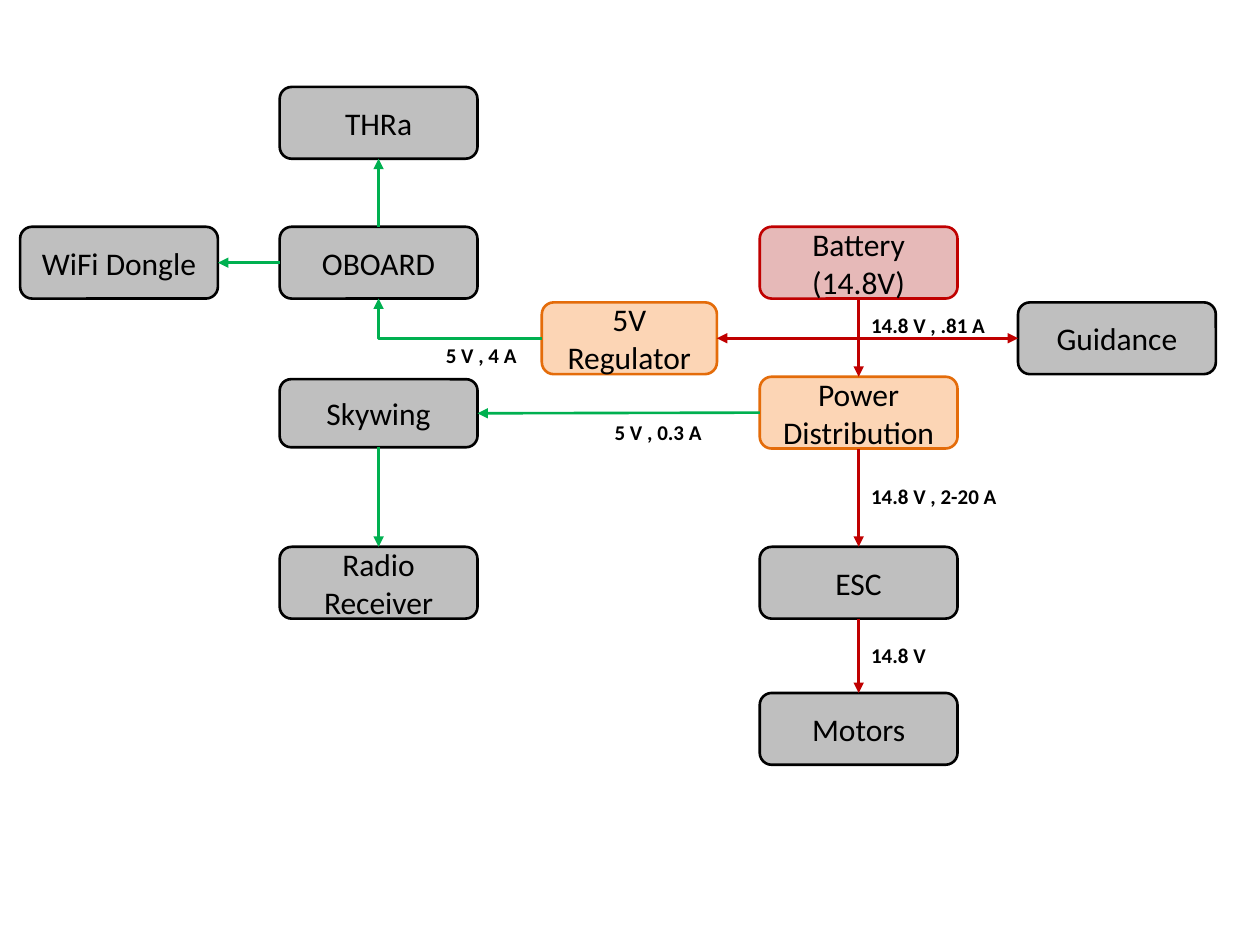
from lxml.etree import SubElement
from pptx import Presentation
from pptx.dml.color import RGBColor as RGB
from pptx.enum.shapes import MSO_CONNECTOR as LINK, MSO_SHAPE as SHAPE
from pptx.enum.text import MSO_ANCHOR as ANCHOR, MSO_AUTO_SIZE as AUTO, PP_ALIGN as ALIGN
from pptx.oxml.ns import qn
from pptx.util import Inches, Pt

HEX = {
    "black": "000000", "gray": "BFBFBF", "pink": "E6B9B8", "red": "C00000",
    "peach": "FCD5B5", "orange": "E46C0A", "green": "00B050",
}
TOP, LEFT, BOTTOM, RIGHT = range(4)
COL1, COL2, COL3 = 0.16, 2.22, 6.03
ROW1, ROW2, ROW3, ROW4, ROW5, ROW6 = 0.69, 1.8, 2.4, 2.99, 4.34, 5.5
WIDE, HIGH = 1.57, 0.57
MID = COL3 + WIDE / 2
LOOKS = {"part": ("gray", "black"), "source": ("pink", "red"), "supply": ("peach", "orange")}
BOXES = {
    "pilot": ("Skywing", COL2, 3.01, WIDE, 0.54, "part"),
    "guide": ("Guidance", 8.08, ROW3, WIDE, HIGH, "part"),
    "motor": ("Motors", COL3, ROW6, WIDE, HIGH, "part"),
    "cell": ("Battery (14.8V)", COL3, ROW2, WIDE, HIGH, "source"),
    "esc": ("ESC", COL3, ROW5, WIDE, HIGH, "part"),
    "board": ("OBOARD", COL2, ROW2, WIDE, HIGH, "part"),
    "cam": ("THRa", COL2, ROW1, WIDE, HIGH, "part"),
    "radio": ("Radio Receiver", COL2, ROW5, WIDE, HIGH, "part"),
    "power": ("Power Distribution", COL3, ROW4, WIDE, HIGH, "supply"),
    "reg": ("5V\nRegulator", 4.3, ROW3, 1.39, HIGH, "supply"),
    "wifi": ("WiFi Dongle", COL1, ROW2, WIDE, HIGH, "part"),
}
LINKS = [
    ("power", LEFT, "pilot", RIGHT, "green"),
    ("power", BOTTOM, "esc", TOP, "red"),
    ("esc", BOTTOM, "motor", TOP, "red"),
    ("pilot", BOTTOM, "radio", TOP, "green"),
    ("board", TOP, "cam", BOTTOM, "green"),
    ("cell", BOTTOM, "power", TOP, "red"),
    ("board", LEFT, "wifi", RIGHT, "green"),
]
TAPS = [("guide", LEFT), ("reg", RIGHT)]
LABELS = [
    ("14.8 V , .81 A", MID, 2.43, 1.12),
    ("14.8 V , 2-20 A", MID, 3.79, 1.21),
    ("14.8 V", MID, 5.05, 0.64),
    ("5 V , 0.3 A", 4.78, 3.28, 0.9),
    ("5 V , 4 A", 3.44, 2.67, 0.77),
]


def color(name):
    return RGB.from_string(HEX[name])


def write(frame, text, size, bold, align):
    frame.text = text
    for para in frame.paragraphs:
        para.alignment = align
        for key, value in {"name": "Calibri", "size": Pt(size), "bold": bold}.items():
            setattr(para.font, key, value)
        para.font.color.rgb = color("black")


def add_box(slide, text, left, top, width, height, look):
    box = slide.shapes.add_shape(
        SHAPE.ROUNDED_RECTANGLE, Inches(left), Inches(top), Inches(width), Inches(height))
    fill, edge = LOOKS[look]
    box.shadow.inherit = False
    box.fill.solid()
    box.fill.fore_color.rgb = color(fill)
    box.line.color.rgb = color(edge)
    box.line.width = Pt(1.5)
    box.text_frame.vertical_anchor = ANCHOR.MIDDLE
    write(box.text_frame, text, 18, False, ALIGN.CENTER)
    return box


def add_arrow(slide, tint, end, side, start=None, kind=LINK.STRAIGHT, spot=(0, 0)):
    x, y = (Inches(value) for value in spot)
    arrow = slide.shapes.add_connector(kind, x, y, x, y)
    if start:
        arrow.begin_connect(*start)
    arrow.end_connect(end, side)
    arrow.line.color.rgb = color(tint)
    arrow.line.width = Pt(1.5)
    props = arrow._element.spPr
    SubElement(props.find(qn("a:ln")), qn("a:tailEnd"), type="triangle")
    SubElement(props, qn("a:effectLst"))
    return arrow


def add_label(slide, text, left, top, width):
    frame = slide.shapes.add_textbox(
        Inches(left), Inches(top), Inches(width), Inches(0.3)).text_frame
    frame.word_wrap = False
    frame.auto_size = AUTO.SHAPE_TO_FIT_TEXT
    write(frame, text, 12, True, ALIGN.LEFT)


def main():
    deck = Presentation()
    deck.slide_width, deck.slide_height = Inches(10), Inches(7.5)
    slide = deck.slides.add_slide(deck.slide_layouts[6])
    boxes = {key: add_box(slide, *data) for key, data in BOXES.items()}
    for start, out, end, side, tint in LINKS:
        add_arrow(slide, tint, boxes[end], side, (boxes[start], out))
    for end, side in TAPS:
        add_arrow(slide, "red", boxes[end], side, spot=(MID, ROW3 + HIGH / 2))
    bend = add_arrow(slide, "green", boxes["board"], BOTTOM, (boxes["reg"], LEFT), LINK.ELBOW)
    bend._element.spPr.find(qn("a:prstGeom")).set("prst", "bentConnector2")
    for label in LABELS:
        add_label(slide, *label)
    deck.save("out.pptx")


if __name__ == "__main__":
    main()
